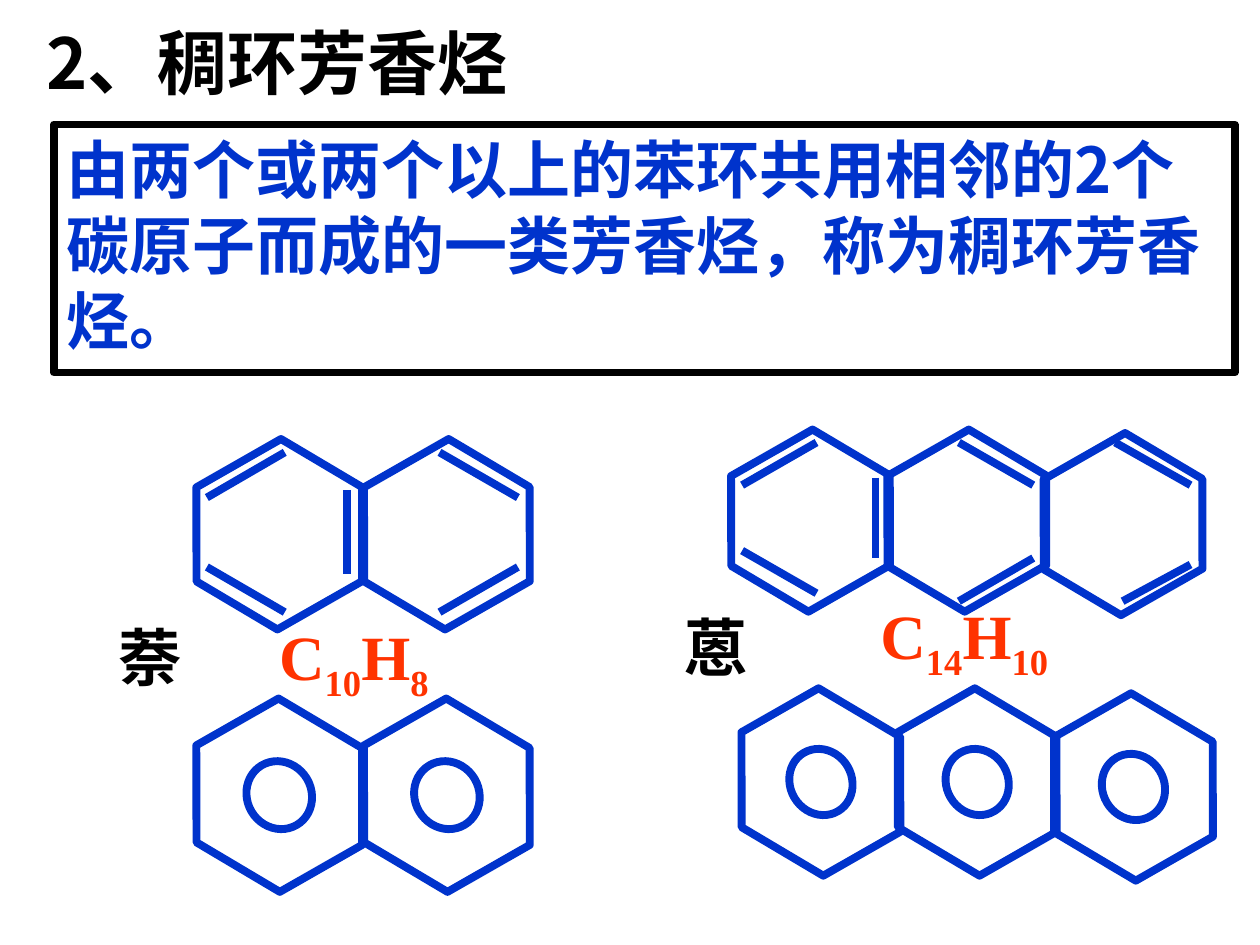
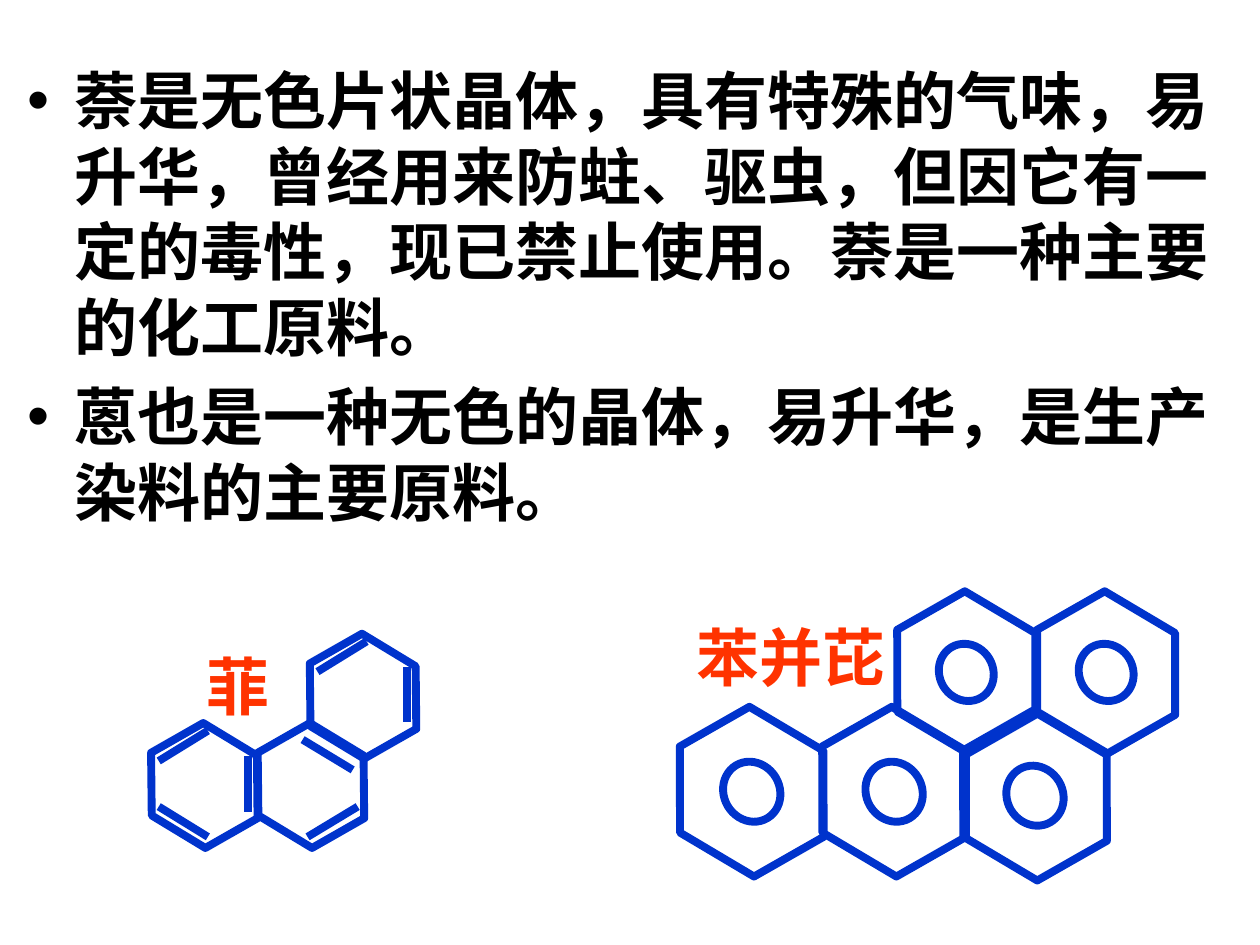
"""Build two slides on fused-ring aromatic hydrocarbons."""
from dataclasses import dataclass
from itertools import groupby

from lxml.etree import SubElement
from pptx import Presentation
from pptx.dml.color import RGBColor
from pptx.enum.shapes import MSO_CONNECTOR, MSO_SHAPE
from pptx.enum.text import MSO_ANCHOR, PP_ALIGN
from pptx.oxml.ns import qn
from pptx.util import Cm, Pt


@dataclass(frozen=True)
class Theme:
    """Colours, fonts, type sizes and line weight of the deck."""
    black: RGBColor = RGBColor(0x00, 0x00, 0x00)
    blue: RGBColor = RGBColor(0x00, 0x33, 0xCC)
    red: RGBColor = RGBColor(0xFF, 0x33, 0x00)
    text_font: str = "Noto Sans CJK SC"
    label_font: str = "DejaVu Sans"
    formula_font: str = "Times New Roman"
    title_size: Pt = Pt(40)
    text_size: Pt = Pt(36)
    stroke: Pt = Pt(4.5)


class Board:
    """Draw text and molecules on the current slide in one style."""

    def __init__(self, deck, theme):
        self.deck, self.theme = deck, theme
        self.slide = self.molecule = None

    def new_slide(self):
        """Start a blank slide."""
        self.slide = self.deck.slides.add_slide(self.deck.slide_layouts[6])

    def new_molecule(self):
        """Start a group that takes the following rings and bonds."""
        self.molecule = self.slide.shapes.add_group_shape().shapes

    def style_run(self, run, color, font, size):
        """Give a run its bold face, for Latin and East Asian text alike."""
        run.font.name, run.font.size, run.font.bold = font, size, True
        run.font.color.rgb = color
        SubElement(run._r.get_or_add_rPr(), qn("a:ea")).set("typeface", font)

    def text(self, place, paragraphs, color=None, font=None, size=None,
             align=PP_ALIGN.LEFT, anchor=MSO_ANCHOR.TOP, shape=None):
        """Write paragraphs in a text box, or in the shape given."""
        box = shape or self.slide.shapes.add_textbox(*map(Cm, place))
        frame = box.text_frame
        frame.word_wrap, frame.vertical_anchor = True, anchor
        frame.text = "\n".join(paragraphs)
        for paragraph in frame.paragraphs:
            paragraph.alignment = align
            for run in paragraph.runs:
                self.style_run(run, color or self.theme.black, font or self.theme.text_font,
                               size or self.theme.text_size)
        return frame

    def title(self, place, wording):
        """Write the slide title."""
        self.text(place, [wording], size=self.theme.title_size, anchor=MSO_ANCHOR.MIDDLE)

    def name(self, place, wording, color=None):
        """Write the name of a molecule, flush right."""
        self.text(place, [wording], color, self.theme.label_font,
                  align=PP_ALIGN.RIGHT, anchor=MSO_ANCHOR.MIDDLE)

    def formula(self, place, wording):
        """Write a molecular formula with its digits as subscripts."""
        paragraph = self.text(place, []).paragraphs[0]
        for is_count, symbols in groupby(wording, str.isdigit):
            run = paragraph.add_run()
            run.text = "".join(symbols)
            self.style_run(run, self.theme.red, self.theme.formula_font, self.theme.text_size)
            if is_count:
                run._r.get_or_add_rPr().set("baseline", "-25000")

    def bullets(self, place, points):
        """Write bulleted points with a hanging indent."""
        for paragraph in self.text(place, points).paragraphs:
            paragraph.space_after = Cm(0.27)
            properties = paragraph._p.get_or_add_pPr()
            properties.set("marL", str(Cm(0.95)))
            properties.set("indent", str(Cm(-0.95)))
            SubElement(properties, qn("a:buFont")).set("typeface", "Arial")
            SubElement(properties, qn("a:buChar")).set("char", "•")

    def outline(self, shapes, preset, place, color):
        """Draw a preset shape that has a line and no fill."""
        shape = shapes.add_shape(preset, *map(Cm, place))
        shape.shadow.inherit = False
        shape.fill.background()
        shape.line.color.rgb, shape.line.width = color, self.theme.stroke
        return shape

    def definition(self, place, wording):
        """Write a definition in a heavy frame."""
        frame = self.outline(self.slide.shapes, MSO_SHAPE.RECTANGLE, place, self.theme.black)
        self.text(place, [wording], self.theme.blue, shape=frame)

    def rings(self, corners, size, aromatic=False, slant=0.284):
        """Draw tilted hexagons, each with a centred circle when aromatic."""
        width, height = size
        for left, top in corners:
            hexagon = self.outline(self.molecule, MSO_SHAPE.HEXAGON,
                                   (left, top, width, height), self.theme.blue)
            hexagon.adjustments[0] = slant
            hexagon.rotation = 330.3
            if aromatic:
                across, down = 0.338 * width, 0.41 * height
                place = (left + (width - across) / 2, top + (height - down) / 2, across, down)
                circle = self.outline(self.molecule, MSO_SHAPE.OVAL, place, self.theme.blue)
                circle.rotation = 329.4

    def double_bonds(self, bonds):
        """Draw the second strokes of double bonds."""
        for ends in bonds:
            bond = self.molecule.add_connector(MSO_CONNECTOR.STRAIGHT, *map(Cm, ends))
            bond.line.color.rgb, bond.line.width = self.theme.blue, self.theme.stroke
            SubElement(bond._element.spPr, qn("a:effectLst"))


def draw_definition_slide(board):
    """Define fused-ring hydrocarbons and show naphthalene and anthracene."""
    board.new_slide()
    board.title((0.69, 0.13, 14.53, 2.21), "2、稠环芳香烃")

    board.new_molecule()
    board.rings([(7.09, 14.33), (3.71, 14.33)], (3.84, 3.4), aromatic=True)
    board.new_molecule()
    board.rings([(14.71, 14.1), (17.86, 14.1), (21.01, 14.2)], (3.68, 3.33), aromatic=True)

    board.new_molecule()
    board.rings([(7.09, 9.12), (3.71, 9.12)], (3.84, 3.3))
    board.double_bonds([
        (4.17, 10.03, 5.74, 9.12), (8.86, 12.34, 10.44, 11.43), (4.17, 11.43, 5.74, 12.34),
        (8.86, 9.12, 10.44, 10.03), (6.99, 9.88, 6.99, 11.58)])

    board.new_molecule()
    board.rings([(14.5, 8.92), (17.65, 8.92), (20.8, 8.99)], (3.68, 3.15))
    board.double_bonds([
        (14.96, 9.78, 16.46, 8.92), (19.33, 12.12, 20.83, 11.25), (22.63, 12.12, 24, 11.38),
        (14.96, 11.1, 16.46, 11.96), (19.33, 8.92, 20.83, 9.78), (22.48, 8.92, 24, 9.78),
        (17.65, 9.63, 17.65, 11.25)])

    board.name((0.51, 11.33, 3.4, 3.81), "萘")
    board.name((11.91, 11.13, 3.4, 3.81), "蒽")
    board.formula((5.38, 12.32, 4.7, 1.78), "C10H8")
    board.formula((17.5, 11.91, 4.7, 1.78), "C14H10")
    board.definition((1.09, 2.51, 23.8, 5),
                     "由两个或两个以上的苯环共用相邻的2个碳原子而成的一类芳香烃，称为稠环芳香烃。")


def draw_properties_slide(board):
    """Give the properties and show phenanthrene and benzopyrene."""
    board.new_slide()
    board.bullets((0.3, 1.12, 24.61, 10.54), [
        "萘是无色片状晶体，具有特殊的气味，易升华，曾经用来防蛀、驱虫，"
        "但因它有一定的毒性，现已禁止使用。萘是一种主要的化工原料。",
        "蒽也是一种无色的晶体，易升华，是生产染料的主要原料。"])

    board.new_molecule()
    board.rings([(5.05, 14.73), (2.9, 14.73), (6.1, 12.93)], (2.44, 2.21), slant=0.278)
    board.double_bonds([
        (3.2, 15.34, 4.19, 14.73), (6.2, 16.87, 7.21, 16.26), (3.2, 16.26, 4.19, 16.87),
        (5, 15.24, 5, 16.36), (6.4, 13.54, 7.39, 12.93), (6.1, 14.91, 7.11, 15.52),
        (8.2, 13.44, 8.2, 14.55)])
    board.name((2.29, 11.91, 3.4, 3.81), "菲", board.theme.red)

    board.new_molecule()
    board.rings([(20.7, 12.12), (17.88, 12.12)], (3.2, 2.87), aromatic=True)
    board.rings([(13.49, 14.45), (16.36, 14.45), (19.2, 14.53)], (3.33, 3.02), aromatic=True)
    board.name((13.11, 11.33, 5, 3.81), "苯并芘", board.theme.red)


def main():
    """Build and save the deck."""
    deck = Presentation()
    deck.slide_width, deck.slide_height = Cm(25.4), Cm(19.05)
    board = Board(deck, Theme())
    draw_definition_slide(board)
    draw_properties_slide(board)
    deck.save("out.pptx")


if __name__ == "__main__":
    main()
